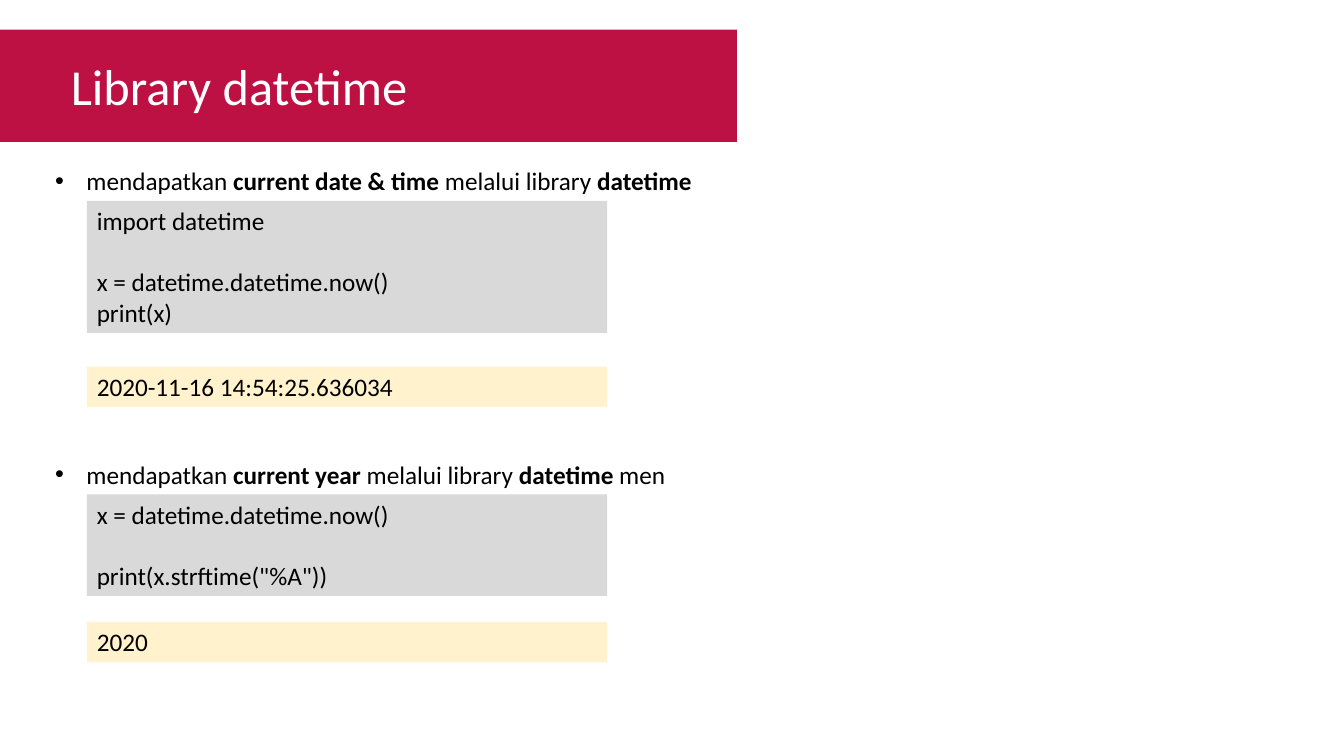
from dataclasses import dataclass

from lxml import etree
from pptx import Presentation
from pptx.dml.color import RGBColor
from pptx.enum.shapes import MSO_SHAPE
from pptx.enum.text import MSO_ANCHOR, MSO_AUTO_SIZE, PP_ALIGN
from pptx.oxml.ns import qn
from pptx.util import Cm, Pt

RECTANGLE = MSO_SHAPE.RECTANGLE
LEFT, TOP, NO_FIT = PP_ALIGN.LEFT, MSO_ANCHOR.TOP, MSO_AUTO_SIZE.NONE

# Content: a line is a list of (text, bold) spans; None is a skipped code line
TITLE = "Library datetime"
EXAMPLES = [
    {
        "top": 4.04,
        "gap": 0.85,
        "label": [("mendapatkan ", False), ("current date & time", True),
                  (" melalui library ", False), ("datetime", True)],
        "code": ["import datetime", None, "x = datetime.datetime.now()", "print(x)"],
        "output": ["2020-11-16 14:54:25.636034"],
    },
    {
        "top": 11.44,
        "gap": 0.65,
        "label": [("mendapatkan ", False), ("current year ", True),
                  ("melalui library ", False), ("datetime ", True), ("men", False)],
        "code": ["x = datetime.datetime.now()", None, 'print(x.strftime("%A"))'],
        "output": ["2020"],
    },
]


@dataclass(frozen=True)
class Theme:
    font: str = "Calibri"
    title_size: int = 36
    body_size: int = 18
    line_points: int = 22
    banner: str = "BC1142"
    code: str = "D9D9D9"
    output: str = "FFF2CC"
    dark: str = "000000"
    light: str = "FFFFFF"


THEME = Theme()

# Layout in centimetres
LABEL_LEFT, LABEL_WIDTH = 1.14, 17.42
PANEL_LEFT, PANEL_WIDTH = 2.19, 13.11
LINE_HEIGHT, PADDING, INDENT = 0.77, 0.25, 0.79


def panel_height(lines):
    return len(lines) * LINE_HEIGHT + PADDING


def write_line(para, spans, size=THEME.body_size, color=THEME.dark):
    para.alignment = LEFT
    for text, bold in spans:
        span = para.add_run()
        span.text = text
        span.font.name = THEME.font
        span.font.size = Pt(size)
        span.font.bold = bold
        span.font.color.rgb = RGBColor.from_string(color)


def add_bullet(para):
    properties = para._p.get_or_add_pPr()
    properties.set("marL", str(Cm(INDENT)))
    properties.set("indent", str(-Cm(INDENT)))
    etree.SubElement(properties, qn("a:buFont")).set("typeface", "Arial")
    etree.SubElement(properties, qn("a:buChar")).set("char", "•")


def add_panel(parent, left, top, width, height, color):
    box = parent.shapes.add_shape(RECTANGLE, Cm(left), Cm(top), Cm(width), Cm(height))
    box.shadow.inherit = False
    box.fill.solid()
    box.fill.fore_color.rgb = RGBColor.from_string(color)
    box.line.fill.background()
    return box


def add_listing(parent, top, lines, color):
    box = add_panel(parent, PANEL_LEFT, top, PANEL_WIDTH, panel_height(lines), color)
    frame = box.text_frame
    frame.word_wrap = True
    frame.vertical_anchor = TOP
    para, skipped = frame.paragraphs[0], False
    for index, line in enumerate(lines):
        if line is None:
            skipped = True
            continue
        if index:
            para = frame.add_paragraph()
        if skipped:
            para.space_before = Pt(THEME.line_points)
            skipped = False
        write_line(para, [(line, False)])


def add_label(parent, top, spans):
    box = parent.shapes.add_textbox(Cm(LABEL_LEFT), Cm(top), Cm(LABEL_WIDTH),
                                    Cm(panel_height([spans])))
    box.text_frame.word_wrap = True
    para = box.text_frame.paragraphs[0]
    write_line(para, spans)
    add_bullet(para)


def add_heading(page):
    title = page.shapes.title
    title.left, title.top, title.width, title.height = Cm(1.53), Cm(1.27), Cm(10), Cm(1.8)
    frame = title.text_frame
    frame.word_wrap = True
    frame.auto_size = NO_FIT
    frame.vertical_anchor = TOP
    write_line(frame.paragraphs[0], [(TITLE, False)], THEME.title_size, THEME.light)
    # The banner lies behind the title
    banner = add_panel(page, 0, 0.75, 18.57, 2.83, THEME.banner)
    title.element.addprevious(banner.element)


def add_example(page, example):
    group = page.shapes.add_group_shape()
    top = example["top"]
    add_label(group, top, example["label"])
    top += panel_height([example["label"]])
    add_listing(group, top, example["code"], THEME.code)
    top += panel_height(example["code"]) + example["gap"]
    add_listing(group, top, example["output"], THEME.output)


def main():
    deck = Presentation()
    deck.slide_width, deck.slide_height = Cm(33.87), Cm(19.05)
    page = deck.slides.add_slide(deck.slide_layouts.get_by_name("Title Only"))
    add_heading(page)
    for example in EXAMPLES:
        add_example(page, example)
    deck.save("out.pptx")


if __name__ == "__main__":
    main()
